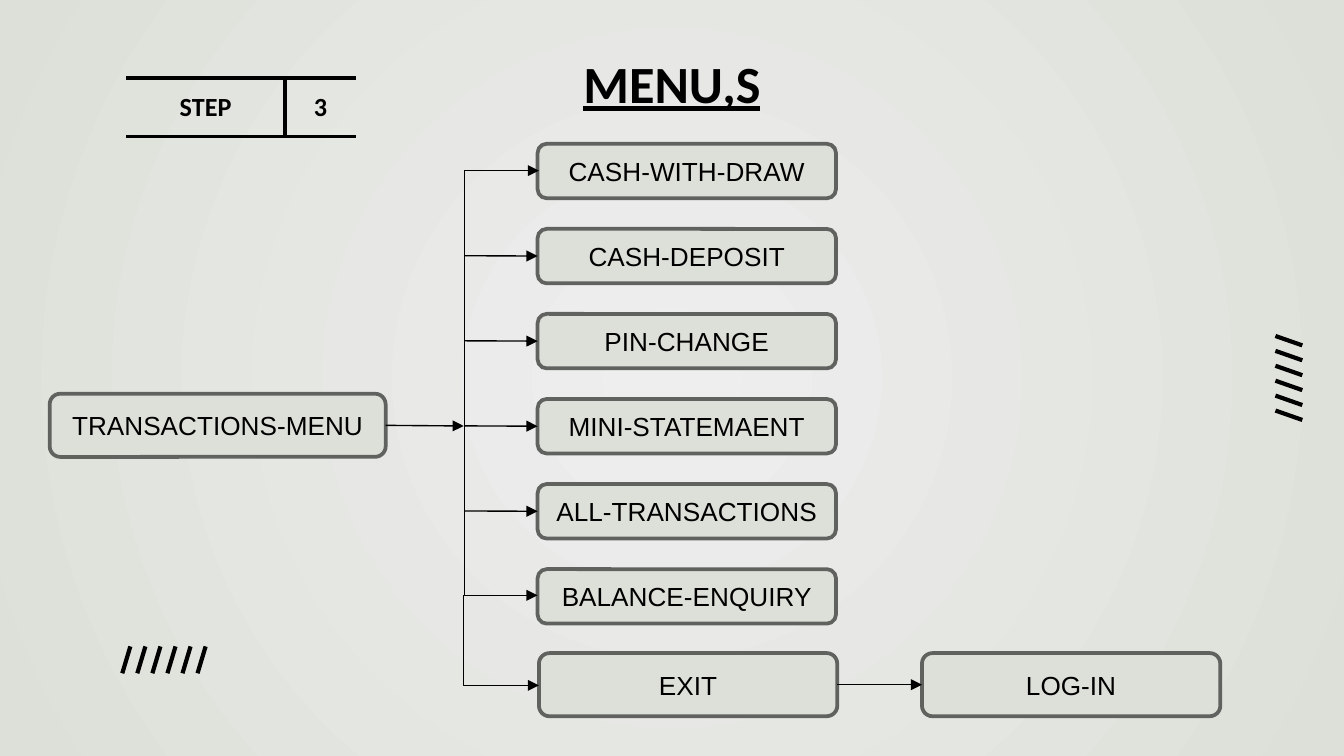
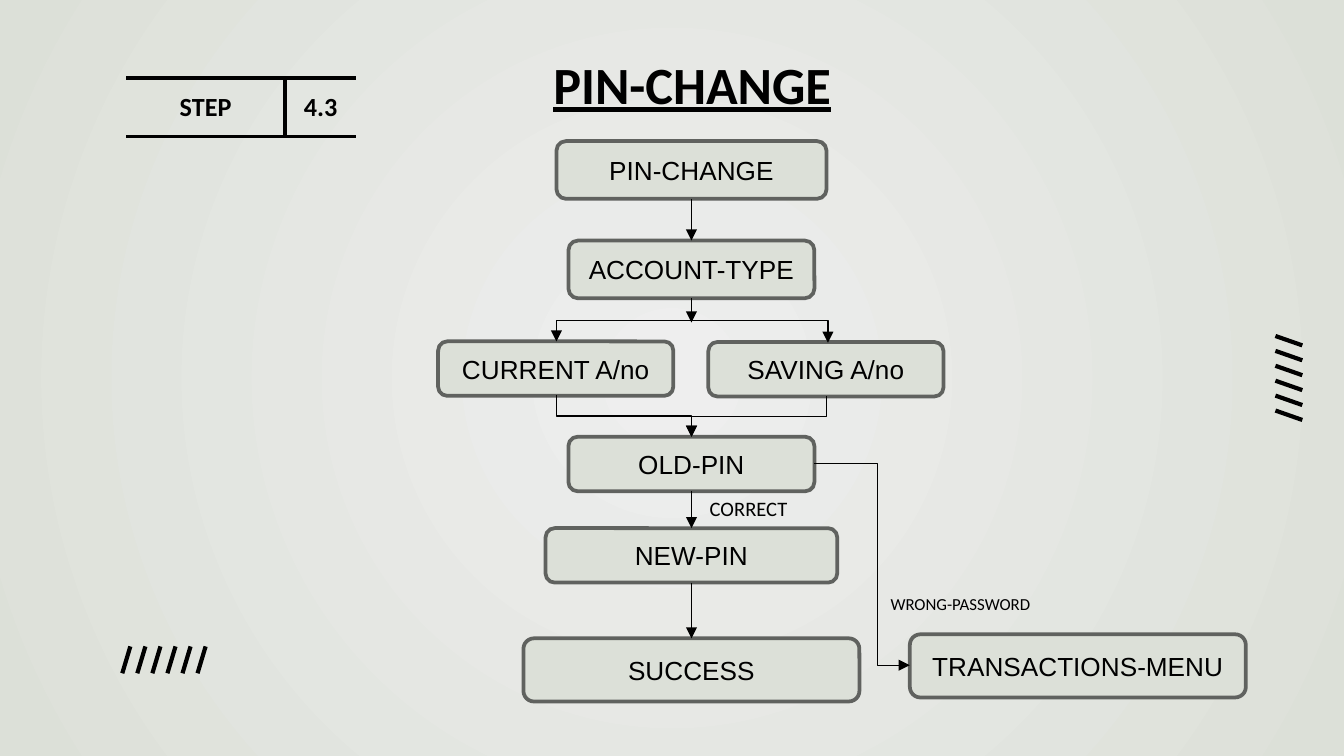
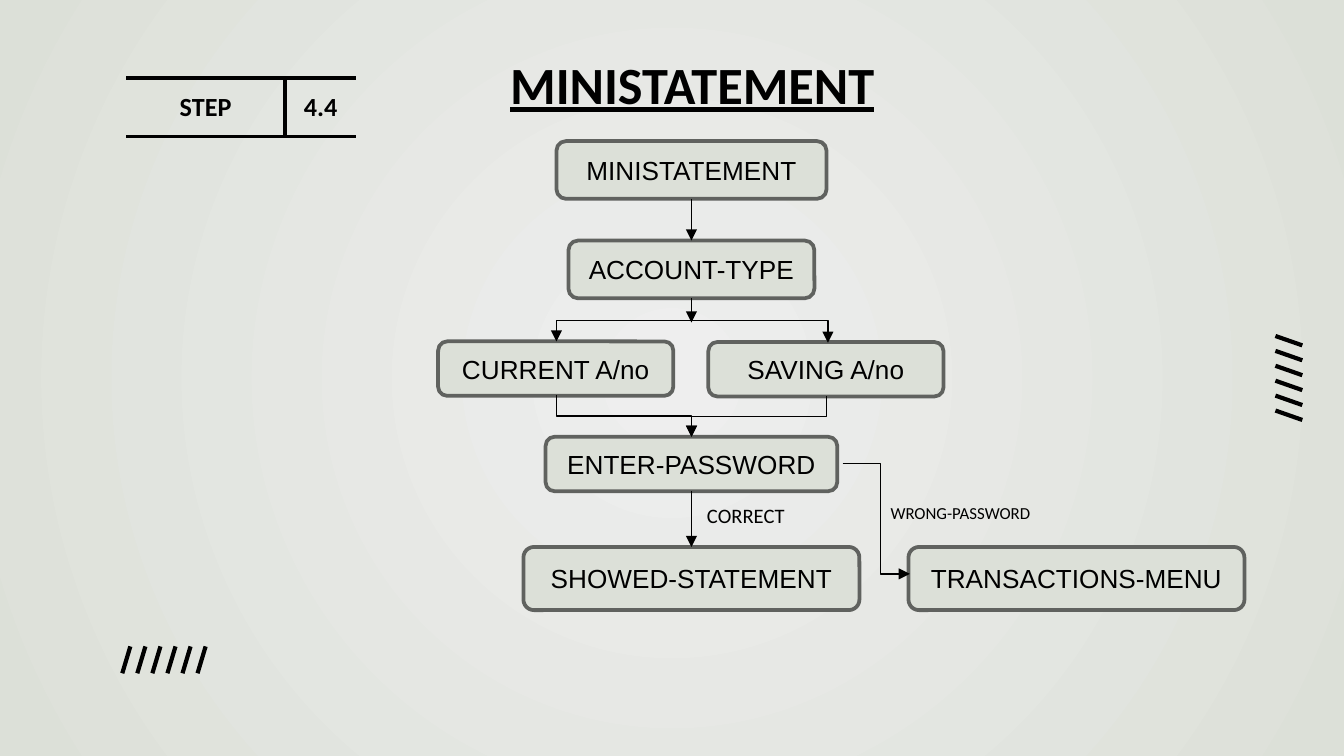
from lxml.etree import SubElement
from pptx import Presentation
from pptx.dml.color import RGBColor
from pptx.enum.shapes import MSO_CONNECTOR as LINE, MSO_SHAPE as SHAPE
from pptx.enum.text import MSO_ANCHOR as ANCHOR, MSO_AUTO_SIZE as FIT, PP_ALIGN as ALIGN
from pptx.oxml.ns import qn
from pptx.util import Inches, Pt

COLORS = {"ink": "000000", "sage": "DCE0D8", "mist": "EEEEEE", "edge": "60625F"}
COLS, ROWS = 100, 56.25      # square cells of a tenth of an inch
AXIS = 51.45                 # centre column of the vertical flows
BOX_H, TALL_H = 4.05, 4.7
TOP, LEFT, BOTTOM, RIGHT = range(4)


def cells(*counts):
    return [Inches(n / 10) for n in counts]


def rgb(name):
    return RGBColor.from_string(COLORS[name])


def write(tf, text, size=14, font="Arial", bold=False, underline=False):
    p = tf.paragraphs[0]
    p.alignment = ALIGN.CENTER
    r = p.add_run()
    r.text = text
    f = r.font
    f.name, f.size, f.bold, f.underline = font, Pt(size), bold, underline
    f.color.rgb = rgb("ink")


def style_line(c, width=0.75, head=False, tail=False):
    c.line.color.rgb = rgb("ink")
    c.line.width = Pt(width)
    ln = c.element.spPr.find(qn("a:ln"))
    for tag, wanted in (("a:headEnd", head), ("a:tailEnd", tail)):
        if wanted:
            SubElement(ln, qn(tag), type="triangle")
    SubElement(c.element.spPr, qn("a:effectLst"))


def arrow(s, begin=(0, 0), end=(0, 0), source=None, target=None):
    """Straight arrow; source and target are (box, side) pairs to join."""
    c = s.shapes.add_connector(LINE.STRAIGHT, *cells(*begin, *end))
    style_line(c, tail=True)
    if source:
        c.begin_connect(*source)
    if target:
        c.end_connect(*target)


def elbow(s, begin, end, bend=None, vertical=False, head=False):
    """Bent arrow turning at column (or row, if vertical) bend; one corner without it."""
    c = s.shapes.add_connector(LINE.ELBOW, *cells(*begin, *end))
    style_line(c, head=head, tail=True)
    if vertical:
        rightward = end[0] > begin[0]
        mid_x, mid_y = c.left + c.width // 2, c.top + c.height // 2
        c.width, c.height = c.height, c.width
        c.left, c.top = mid_x - c.width // 2, mid_y - c.height // 2
        xfrm = c.element.spPr.find(qn("a:xfrm"))
        xfrm.set("rot", "16200000" if rightward else "5400000")
        xfrm.set("flipH", "1" if rightward else "0")
    geom = c.element.spPr.find(qn("a:prstGeom"))
    if bend is None:
        geom.set("prst", "bentConnector2")
        return
    axis = 1 if vertical else 0
    share = (bend - begin[axis]) / (end[axis] - begin[axis])
    guides = geom.find(qn("a:avLst"))
    SubElement(guides, qn("a:gd"), name="adj1", fmla=f"val {round(share * 100000)}")


def box(s, text, left, top, width, height=BOX_H):
    sp = s.shapes.add_shape(SHAPE.ROUNDED_RECTANGLE, *cells(left, top, width, height))
    sp.shadow.inherit = False
    sp.fill.solid()
    sp.fill.fore_color.rgb = rgb("sage")
    sp.line.color.rgb = rgb("edge")
    sp.line.width = Pt(2)
    tf = sp.text_frame
    tf.word_wrap = True
    tf.margin_left = tf.margin_right = Inches(0.05)
    tf.vertical_anchor = ANCHOR.MIDDLE
    write(tf, text)
    return sp


def flow_box(s, text, top, width, height=BOX_H):
    return box(s, text, AXIS - width / 2, top, width, height)


def label(s, text, left, top, width, height, size):
    tf = s.shapes.add_textbox(*cells(left, top, width, height)).text_frame
    tf.word_wrap = True
    write(tf, text, size=size, font="Calibri")


def hatch(s, begin, end, step):
    """Six parallel strokes, each moved by step from the last."""
    g = s.shapes.add_group_shape()
    for i in range(6):
        dx, dy = i * step[0], i * step[1]
        c = g.shapes.add_connector(LINE.STRAIGHT, *cells(
            begin[0] + dx, begin[1] + dy, end[0] + dx, end[1] + dy))
        style_line(c, 2.25)
    return g


def cell_borders(cell, sides):
    tc_pr = cell._tc.get_or_add_tcPr()
    for i, side in enumerate("LRTB"):
        ln = SubElement(tc_pr, qn(f"a:ln{side}"), w=str(Pt(2.25)))
        if side in sides:
            fill = SubElement(ln, qn("a:solidFill"))
            SubElement(fill, qn("a:srgbClr"), val=COLORS["ink"])
        else:
            SubElement(ln, qn("a:noFill"))
        tc_pr.insert(i, ln)


def step_table(s, number):
    table = s.shapes.add_table(1, 2, *cells(9.4, 5.8, 17.1, 4.3)).table
    table.first_row = table.horz_banding = False
    table.columns[0].width, table.columns[1].width = cells(11.8, 5.3)
    for i, (text, sides) in enumerate((("STEP", "RTB"), (number, "LTB"))):
        cell = table.cell(0, i)
        cell.fill.background()
        cell.margin_left = cell.margin_right = Inches(0.1)
        cell.margin_top = cell.margin_bottom = Inches(0.1)
        write(cell.text_frame, text, font="Calibri", bold=True)
        cell_borders(cell, sides)


def set_background(master):
    fill = master.background.fill
    fill.gradient()
    for stop, name in zip(fill.gradient_stops, ("mist", "sage")):
        stop.color.rgb = rgb(name)
    grad = master.element.find(".//" + qn("p:bg")).find(".//" + qn("a:gradFill"))
    grad.remove(grad.find(qn("a:lin")))
    circle = SubElement(grad, qn("a:path"), path="circle")
    SubElement(circle, qn("a:fillToRect"), l="50000", t="50000", r="50000", b="50000")


def new_slide(prs, title, step, title_at=(26.5, 3.4)):
    s = prs.slides.add_slide(prs.slide_layouts[5])
    sp = s.shapes.title
    sp.left, sp.top, sp.width, sp.height = cells(*title_at, 50, 5.7)
    tf = sp.text_frame
    tf.word_wrap, tf.auto_size, tf.vertical_anchor = True, FIT.NONE, ANCHOR.TOP
    write(tf, title, size=28, font="Calibri", bold=True, underline=True)
    step_table(s, step)
    hatch(s, (9.7, 48.1), (9.1, 50.1), (1.12, 0))
    return s


def menu_slide(prs):
    s = new_slide(prs, "MENU,S", "3", (25, 3.3))
    trunk, left, width = 34.5, 40, 22.2
    options = [box(s, text, left, 10.7 + 6.33 * i, width) for i, text in enumerate((
        "CASH-WITH-DRAW", "CASH-DEPOSIT", "PIN-CHANGE", "MINI-STATEMAENT",
        "ALL-TRANSACTIONS", "BALANCE-ENQUIRY"))]
    menu = box(s, "TRANSACTIONS-MENU", 3.7, 29.3, 25, TALL_H)
    exit_box = box(s, "EXIT", 40.1, 48.6, width, TALL_H)
    log_in = box(s, "LOG-IN", 68.6, 48.6, width, TALL_H)
    elbow(s, (40.1, 12.7), (left, 44.3), bend=trunk, head=True)
    arrow(s, end=(trunk, 31.7), source=(menu, RIGHT))
    for i, option in enumerate(options[1:5], 1):
        arrow(s, begin=(trunk + 0.1, 12.7 + 6.33 * i), target=(option, LEFT))
    elbow(s, (trunk, 44.3), (40.1, 51), vertical=True)
    arrow(s, source=(exit_box, RIGHT), target=(log_in, LEFT))


def account_flow(s, title, check, check_width):
    """Account choice shared by the transaction flows; returns the checking box."""
    start = flow_box(s, title, 10.5, 20.1, 4.3)
    account = flow_box(s, "ACCOUNT-TYPE", 17.9, 18.3, 4.3)
    box(s, "CURRENT A/no", 32.6, 25.4, 17.5)
    box(s, "SAVING A/no", 52.7, 25.45, 17.5)
    check_box = flow_box(s, check, 32.5, check_width)
    arrow(s, source=(start, BOTTOM), target=(account, TOP))
    arrow(s, end=(AXIS, 24), source=(account, BOTTOM))
    elbow(s, (41.4, 25.4), (61.6, 25.5), bend=23.8, vertical=True, head=True)
    for x, y in ((41.4, 29.4), (61.5, 29.5)):
        elbow(s, (x, y), (AXIS, 32.5), bend=(y + 32.5) / 2, vertical=True)
    return check_box


def pin_slide(prs):
    s = new_slide(prs, "PIN-CHANGE", "4.3")
    old_pin = account_flow(s, "PIN-CHANGE", "OLD-PIN", 18.3)
    new_pin = flow_box(s, "NEW-PIN", 39.3, 21.7)
    success = flow_box(s, "SUCCESS", 47.5, 25, TALL_H)
    box(s, "TRANSACTIONS-MENU", 67.7, 47.2, 25, TALL_H)
    arrow(s, source=(old_pin, BOTTOM), target=(new_pin, TOP))
    arrow(s, source=(new_pin, BOTTOM), target=(success, TOP))
    elbow(s, (60.6, 34.5), (67.7, 49.5), bend=65.3)
    label(s, "CORRECT", 51.4, 36.4, 8.6, 2.9, 11)
    label(s, "WRONG-PASSWORD", 64.7, 43.7, 13.5, 2.5, 9)


def statement_slide(prs):
    s = new_slide(prs, "MINISTATEMENT", "4.4")
    password = account_flow(s, "MINISTATEMENT", "ENTER-PASSWORD", 21.7)
    shown = flow_box(s, "SHOWED-STATEMENT", 40.7, 25, TALL_H)
    box(s, "TRANSACTIONS-MENU", 67.6, 40.7, 25, TALL_H)
    arrow(s, source=(password, BOTTOM), target=(shown, TOP))
    elbow(s, (62.7, 34.5), (67.7, 42.7), bend=65.5)
    label(s, "CORRECT", 51.2, 36.9, 8.6, 2.9, 11)
    label(s, "WRONG-PASSWORD", 64.7, 36.9, 13.5, 2.5, 9)


def main():
    prs = Presentation()
    prs.slide_width, prs.slide_height = cells(COLS, ROWS)
    set_background(prs.slide_master)
    menu_slide(prs)
    pin_slide(prs)
    statement_slide(prs)
    side_hatch = hatch(prs.slides[0], (96.9, 25.7), (94.9, 25), (0, 1.11))
    prs.slide_layouts[5].shapes.element.append(side_hatch.element)
    prs.save("out.pptx")


if __name__ == "__main__":
    main()
